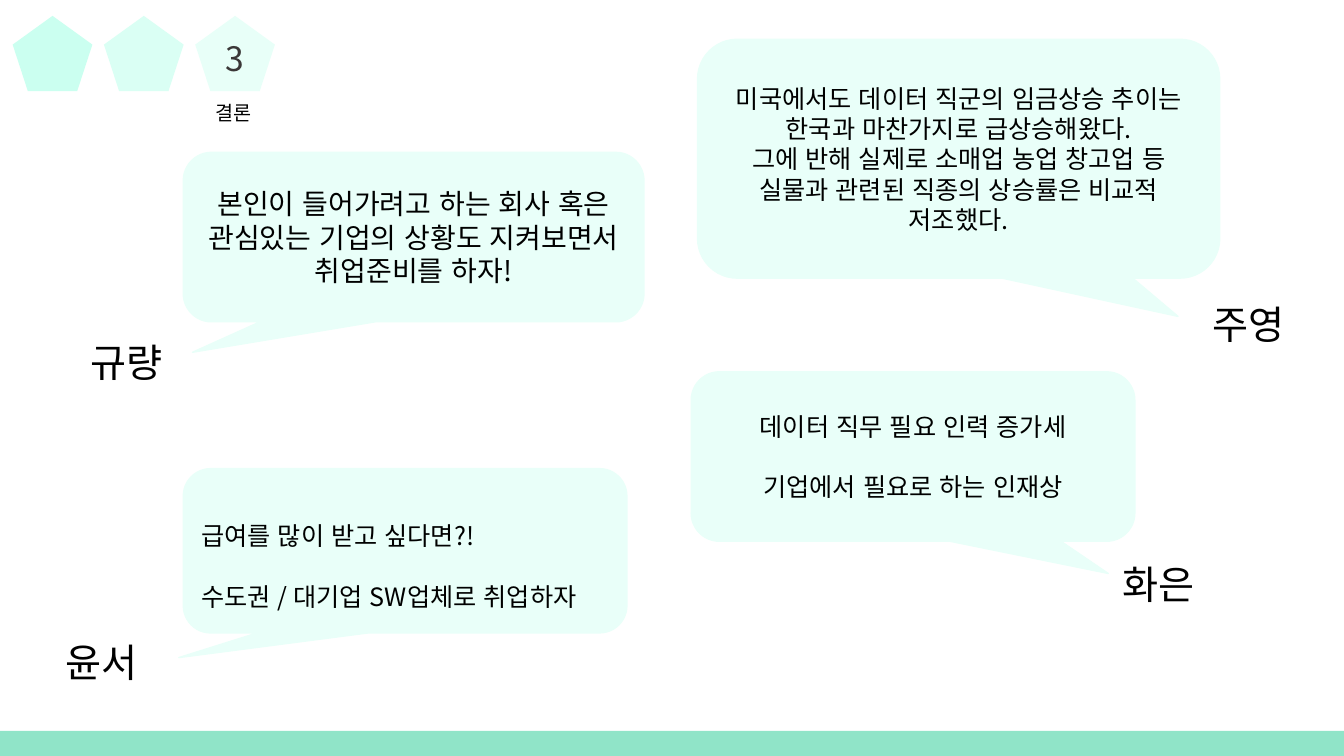
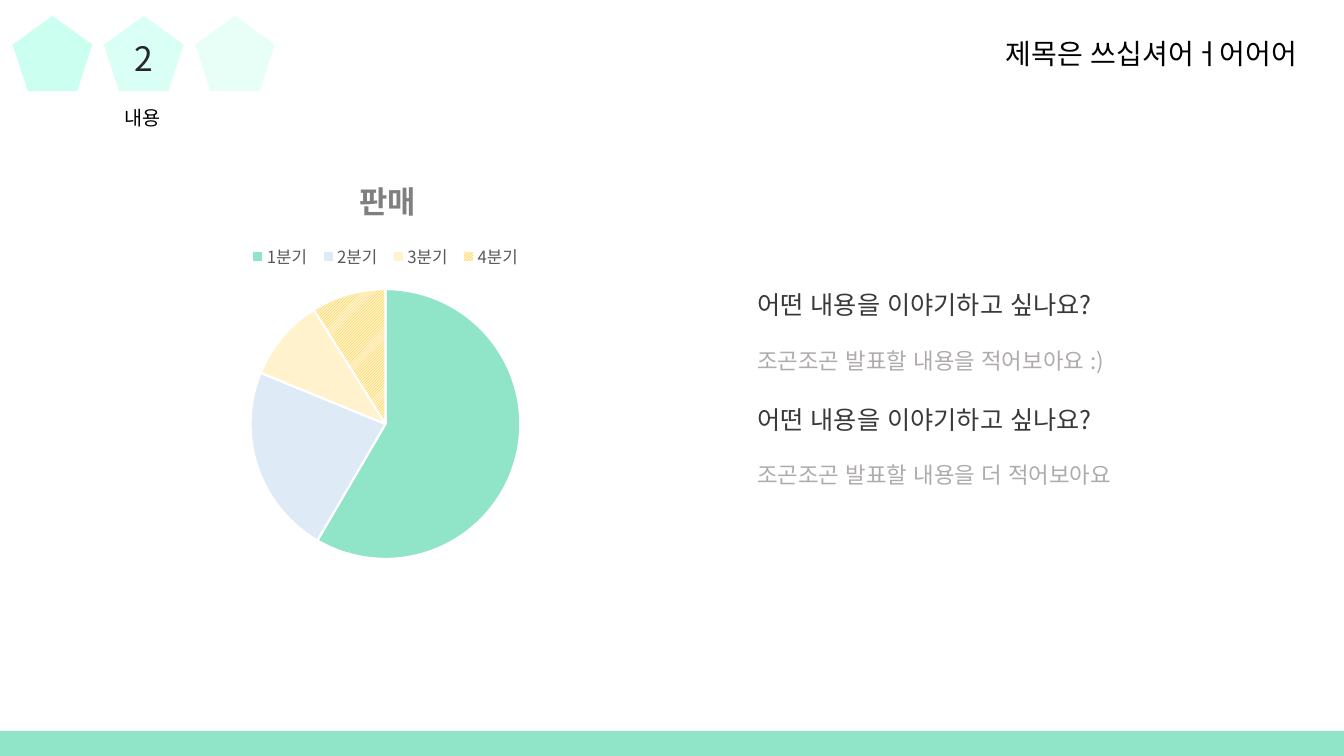
from dataclasses import dataclass

from lxml import etree
from pptx import Presentation
from pptx.chart.data import CategoryChartData
from pptx.dml.color import RGBColor
from pptx.enum.chart import XL_CHART_TYPE, XL_LEGEND_POSITION
from pptx.enum.dml import MSO_PATTERN
from pptx.enum.lang import MSO_LANGUAGE_ID
from pptx.enum.shapes import MSO_SHAPE
from pptx.enum.text import MSO_ANCHOR, MSO_AUTO_SIZE, PP_ALIGN
from pptx.oxml.ns import qn
from pptx.util import Cm, Pt

PIE = XL_CHART_TYPE.PIE
TOP_KEY = XL_LEGEND_POSITION.TOP
HATCH = MSO_PATTERN.LIGHT_UPWARD_DIAGONAL
KOREAN = MSO_LANGUAGE_ID.KOREAN
PENTA = MSO_SHAPE.REGULAR_PENTAGON
RECT = MSO_SHAPE.RECTANGLE
BUBBLE = MSO_SHAPE.ROUNDED_RECTANGULAR_CALLOUT
TOP, MID = MSO_ANCHOR.TOP, MSO_ANCHOR.MIDDLE
FIXED = MSO_AUTO_SIZE.NONE
LEFT, CENTER, RIGHT = PP_ALIGN.LEFT, PP_ALIGN.CENTER, PP_ALIGN.RIGHT


@dataclass(frozen=True)
class Theme:
    font: str = "Noto Sans CJK KR"
    black: str = "000000"
    white: str = "FFFFFF"
    ink: str = "262626"
    dark: str = "3B3838"
    gray: str = "AFABAB"
    head: str = "7F7F7F"
    key: str = "595959"
    mint: str = "B6FFEA"
    pale: str = "E9FFF9"
    band: str = "90E4C8"
    blue: str = "DEEBF7"
    cream: str = "FFF2CC"
    gold: str = "FFC000"
    name: int = 28
    digit: int = 24
    chart: int = 22
    title: int = 20
    text: int = 18
    note: int = 16
    label: int = 14
    small: int = 12


T = Theme()


def rgb(code):
    return RGBColor.from_string(code)


def style(font, size, color, bold=False):
    font.size = Pt(size)
    font.bold = bold
    font.color.rgb = rgb(color)
    font.name = T.font


def add_run(para, text, size, color, bold=False):
    run = para.add_run()
    run.text = text
    style(run.font, size, color, bold)
    run.font.language_id = KOREAN
    etree.SubElement(run.font._element, qn("a:ea"), typeface=T.font)


def write(frame, lines, align=LEFT, anchor=TOP, wrap=True, space=1.0, gap=0):
    frame.word_wrap = wrap
    frame.auto_size = FIXED
    frame.vertical_anchor = anchor
    for i, (text, size, color) in enumerate(lines):
        para = frame.add_paragraph() if i else frame.paragraphs[0]
        props = para._p.get_or_add_pPr()
        props.set("marL", "0")
        props.set("indent", "0")
        etree.SubElement(props, qn("a:buNone"))
        para.alignment = align
        para.line_spacing = space
        para.space_before = Pt(gap if i else 0)
        add_run(para, text, size, color)


def move(shape, box):
    shape.left, shape.top, shape.width, shape.height = map(Cm, box)
    return shape


def add_text(slide, box, text, size):
    shape = slide.shapes.add_textbox(*map(Cm, box))
    write(shape.text_frame, [(text, size, T.black)], wrap=False)


def add_form(slide, kind, box, fill, alpha=None):
    shape = slide.shapes.add_shape(kind, *map(Cm, box))
    shape.shadow.inherit = False
    shape.fill.solid()
    shape.fill.fore_color.rgb = rgb(fill)
    shape.line.fill.background()
    if alpha:
        tint = shape._element.spPr.find(".//" + qn("a:srgbClr"))
        etree.SubElement(tint, qn("a:alpha"), val=str(alpha * 1000))
    return shape


def add_frame(slide, step, color):
    for i, alpha in enumerate((70, 50, 30), 1):
        box = (2.3 * i - 1.98, 0.4, 2.01, 1.9)
        penta = add_form(slide, PENTA, box, T.mint, alpha)
        if i == step:
            frame = penta.text_frame
            frame.margin_top, frame.margin_bottom = 0, Cm(0.2)
            write(frame, [(str(i), T.digit, color)], CENTER, MID, wrap=False)
    add_form(slide, RECT, (0, 18.42, 33.87, 0.63), T.band)


def add_bubble(slide, box, tail, lines, size, align=CENTER, **gaps):
    shape = add_form(slide, BUBBLE, box, T.pale)
    shape.line.color.rgb = rgb(T.pale)
    shape.line.width = Pt(1)
    shape.adjustments[0], shape.adjustments[1] = tail
    rows = [(text, size, T.black) for text in lines]
    write(shape.text_frame, rows, align, MID, **gaps)


def place(node, index, inner=False, **sizes):
    for old in node.findall(qn("c:layout")):
        node.remove(old)
    layout = etree.Element(qn("c:layout"))
    node.insert(index, layout)
    manual = etree.SubElement(layout, qn("c:manualLayout"))
    if inner:
        etree.SubElement(manual, qn("c:layoutTarget"), val="inner")
    for mode in ("xMode", "yMode"):
        etree.SubElement(manual, qn("c:" + mode), val="edge")
    for key, size in sizes.items():
        etree.SubElement(manual, qn("c:" + key), val=str(size))


def add_pie(slide, box, title, cats, vals):
    data = CategoryChartData()
    data.categories = cats
    data.add_series(title, vals)
    chart = slide.shapes.add_chart(PIE, *map(Cm, box), data).chart
    style(chart.font, T.small, T.key)
    chart.has_title = True
    para = chart.chart_title.text_frame.paragraphs[0]
    add_run(para, title, T.chart, T.head, True)
    chart.has_legend = True
    chart.legend.position = TOP_KEY
    chart.legend.include_in_layout = False
    style(chart.legend.font, T.small, T.key)
    plot = chart.plots[0]
    plot.vary_by_categories = True
    for i, color in enumerate((T.band, T.blue, T.cream, None)):
        form = plot.series[0].points[i].format
        if color:
            form.fill.solid()
            form.fill.fore_color.rgb = rgb(color)
        else:
            form.fill.patterned()
            form.fill.pattern = HATCH
            form.fill.fore_color.rgb = rgb(T.gold)
            form.fill.back_color.rgb = rgb(T.cream)
        form.line.color.rgb = rgb(T.white)
        form.line.width = Pt(1.5)
    root = chart.element.find(qn("c:chart"))
    place(root.find(qn("c:title")), 1, x=0.45, y=0.03)
    place(root.find(qn("c:legend")), 1, x=0.27, y=0.21, w=0.46, h=0.06)
    place(root.find(qn("c:plotArea")), 0, True, x=0.28, y=0.32, w=0.44, h=0.65)


def end_slide(deck):
    slide = deck.slides.add_slide(deck.slide_layouts[5])
    add_frame(slide, 3, T.dark)
    title = move(slide.shapes.title, (5.15, 2.42, 1.45, 0.86))
    write(title.text_frame, [("결론", T.label, T.black)], CENTER, wrap=False)
    add_bubble(slide, (4.62, 3.84, 11.61, 4.27), (-0.48, 0.68),
               ["본인이 들어가려고 하는 회사 혹은 관심있는 기업의 상황도 지켜보면서 취업준비를 하자!"],
               T.title)
    add_bubble(slide, (4.62, 11.81, 11.18, 4.14), (-0.51, 0.65),
               ["급여를 많이 받고 싶다면?!", "수도권 / 대기업 SW업체로 취업하자"],
               T.text, LEFT, space=2.0)
    add_bubble(slide, (17.58, 0.99, 13.16, 6.02), (0.42, 0.66),
               ["미국에서도 데이터 직군의 임금상승 추이는 한국과 마찬가지로 급상승해왔다.",
                "그에 반해 실제로 소매업 농업 창고업 등 실물과 관련된 직종의 상승률은 비교적 저조했다."],
               T.text)
    add_bubble(slide, (17.42, 9.37, 11.18, 4.27), (0.44, 0.69),
               ["데이터 직무 필요 인력 증가세", "기업에서 필요로 하는 인재상"],
               T.text, gap=21.5)
    for name, left, top in (("윤서", 1.4, 15.96), ("화은", 28.04, 14),
                            ("주영", 30.3, 7.44), ("규량", 2.03, 8.41)):
        add_text(slide, (left, top, 2.39, 1.45), name, T.name)


def main_slide(deck):
    slide = deck.slides.add_slide(deck.slide_layouts[1])
    add_frame(slide, 2, T.ink)
    add_text(slide, (2.9, 2.54, 1.45, 0.86), "내용", T.label)
    title = move(slide.shapes.title, (20.17, 0.79, 12.78, 1.12))
    write(title.text_frame, [("제목은 쓰십셔어ㅓ어어어", T.title, T.black)], RIGHT)
    add_pie(slide, (1.88, 3.94, 15.67, 10.46), "판매",
            ["1분기", "2분기", "3분기", "4분기"], (59, 23, 10, 9))
    body = move(slide.placeholders[1], (18.83, 6.41, 11, 10.85))
    ask = ("어떤 내용을 이야기하고 싶나요?", T.text, T.dark)
    lines = [ask, ("조곤조곤 발표할 내용을 적어보아요 :)", T.note, T.gray),
             ask, ("조곤조곤 발표할 내용을 더 적어보아요", T.note, T.gray)]
    write(body.text_frame, lines, space=2.0)


def main():
    deck = Presentation()
    deck.slide_width, deck.slide_height = Cm(33.87), Cm(19.05)
    end_slide(deck)
    main_slide(deck)
    deck.save("out.pptx")


if __name__ == "__main__":
    main()
